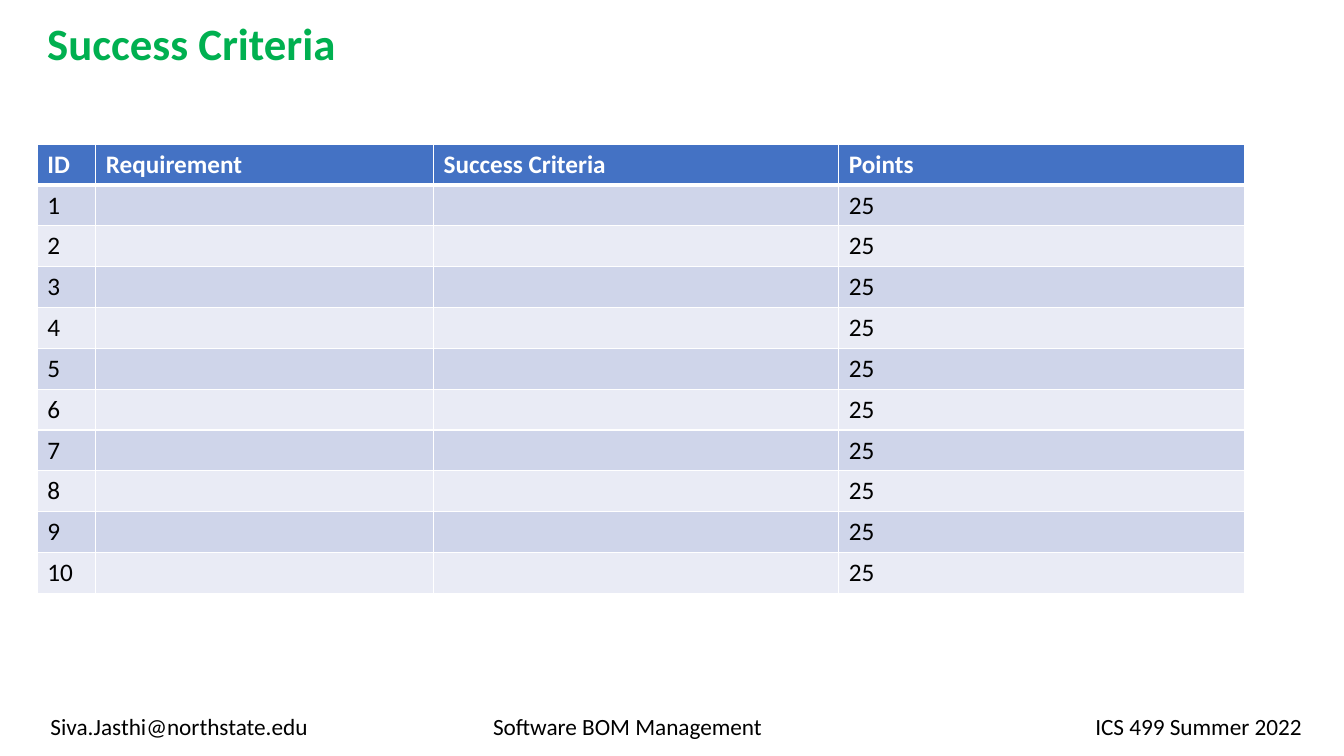
import pptx
import pptx.dml.color
import pptx.enum.text
import pptx.oxml
import pptx.oxml.ns
import pptx.util
from pptx.util import Inches

RGBColor = pptx.dml.color.RGBColor
GREEN = RGBColor(0x00, 0xB0, 0x50)
BLUE = RGBColor(0x44, 0x72, 0xC4)
DARK_BAND = RGBColor(0xCF, 0xD5, 0xEA)
LIGHT_BAND = RGBColor(0xE9, 0xEB, 0xF5)
WHITE = RGBColor(0xFF, 0xFF, 0xFF)
BLACK = RGBColor(0x00, 0x00, 0x00)


def write(paragraph, text, size, color, bold=False):
    paragraph.text = text
    paragraph.font.name = "Calibri"
    paragraph.font.size = pptx.util.Pt(size)
    paragraph.font.bold = bold
    paragraph.font.color.rgb = color


def add_border(cell, side, points):
    cell_properties = cell._tc.get_or_add_tcPr()
    border = pptx.oxml.parse_xml(
        f'<a:{side} {pptx.oxml.ns.nsdecls("a")} w="{pptx.util.Pt(points)}">'
        f'<a:solidFill><a:srgbClr val="{WHITE}"/></a:solidFill></a:{side}>'
    )
    cell_properties.append(border)


presentation = pptx.Presentation()
presentation.slide_width = Inches(13.33)
presentation.slide_height = Inches(7.5)
slide = presentation.slides.add_slide(presentation.slide_layouts[6])

footer = slide.shapes.add_textbox(Inches(0.11), Inches(6.94), Inches(13.22), Inches(0.56))
footer_frame = footer.text_frame
footer_frame.word_wrap = True
footer_frame.margin_left = Inches(0.39)
footer_frame.vertical_anchor = pptx.enum.text.MSO_ANCHOR.MIDDLE
footer_paragraph = footer_frame.paragraphs[0]
footer_paragraph.line_spacing = 0.9
footer_text = "Siva.Jasthi@northstate.edu\tSoftware BOM Management\tICS 499 Summer 2022"
write(footer_paragraph, footer_text, 16.6, BLACK)
tab_stops = pptx.oxml.parse_xml(
    f'<a:tabLst {pptx.oxml.ns.nsdecls("a")}>'
    f'<a:tab pos="{Inches(4.39)}" algn="l"/><a:tab pos="{Inches(12.41)}" algn="r"/></a:tabLst>'
)
footer_paragraph._p.get_or_add_pPr().find(pptx.oxml.ns.qn("a:defRPr")).addprevious(tab_stops)

title = slide.shapes.add_textbox(Inches(0.37), Inches(0.11), Inches(12.35), Inches(0.64))
title.text_frame.word_wrap = True
write(title.text_frame.paragraphs[0], "Success Criteria", 32, GREEN, True)

headings = ["ID", "Requirement", "Success Criteria", "Points"]
rows = [headings] + [[str(number), "", "", "25"] for number in range(1, 11)]
table = slide.shapes.add_table(
    len(rows), len(headings), Inches(0.37), Inches(1.43), Inches(11.97), Inches(4.46)
).table
for column, width in zip(table.columns, [0.58, 3.35, 4.02, 4.02]):
    column.width = Inches(width)

for row_index, row in enumerate(rows):
    is_header = row_index == 0
    band = BLUE if is_header else DARK_BAND if row_index % 2 else LIGHT_BAND
    for column_index, text in enumerate(row):
        cell = table.cell(row_index, column_index)
        write(cell.text_frame.paragraphs[0], text, 18, WHITE if is_header else BLACK, is_header)
        for side in ["lnL", "lnR", "lnT", "lnB"]:
            header_edge = (row_index, side) in [(0, "lnB"), (1, "lnT")]
            add_border(cell, side, 3 if header_edge else 1)
        cell.fill.solid()
        cell.fill.fore_color.rgb = band

presentation.save("out.pptx")
